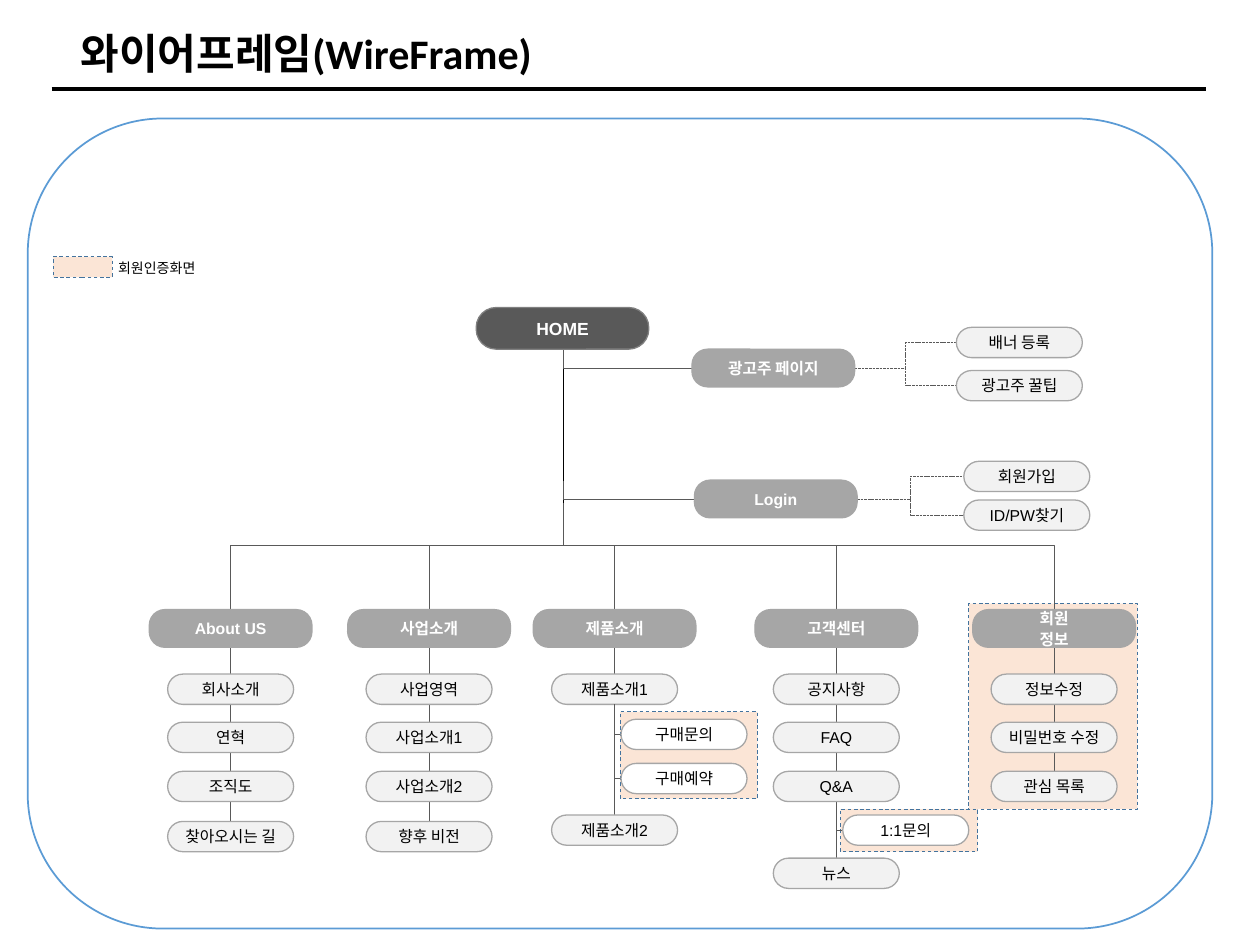
"""Build the site map slide of the wireframe deck."""
from pptx import Presentation
from pptx.dml.color import RGBColor
from pptx.enum.dml import MSO_LINE
from pptx.enum.shapes import MSO_CONNECTOR, MSO_SHAPE
from pptx.enum.text import MSO_ANCHOR, MSO_AUTO_SIZE, PP_ALIGN
from pptx.oxml.ns import qn
from pptx.util import Cm, Pt
from lxml.etree import SubElement

TITLE = "와이어프레임(WireFrame)"
LEGEND = "회원인증화면"
HUB, FORK, TOP = 11.35, 9.7, 12.29
HEAD_W, HEAD_H, PILL_W, PILL_H = 3.28, 0.76, 2.54, 0.61
ROWS = [13.59, 14.56, 15.55, 16.56]

COLUMNS = [
    (4.65, "About US", ["회사소개", "연혁", "조직도", "찾아오시는 길"], ROWS),
    (8.65, "사업소개", ["사업영역", "사업소개1", "사업소개2", "향후 비전"], ROWS),
    (12.39, "제품소개", ["제품소개1", "제품소개2"], [ROWS[0], 16.43]),
    (16.86, "고객센터", ["공지사항", "FAQ", "Q&A", "뉴스"], ROWS[:3] + [17.3]),
    (21.25, "회원\n정보", ["정보수정", "비밀번호 수정", "관심 목록"], ROWS[:3]),
]
SIDES = [
    (13.95, 7.04, "광고주 페이지", 7.04, 19.28, [("배너 등록", 6.6), ("광고주 꿀팁", 7.47)]),
    (14.0, 9.68, "Login", FORK, 19.43, [("회원가입", 9.3), ("ID/PW찾기", 10.08)]),
]
SUBS = [
    (12.39, 14.2, 12.52, 14.5, "구매문의"),
    (12.39, 14.2, 12.52, 15.39, "구매예약"),
    (16.86, 16.18, 16.99, 16.43, "1:1문의"),
]
PANELS = [
    (19.53, 12.17, 3.4, 4.14),
    (16.94, 16.31, 2.77, 0.86),
    (12.5, 14.35, 2.77, 1.75),
    (1.07, 5.18, 1.19, 0.41),
]

deck = Presentation()
deck.slide_width, deck.slide_height = Cm(25.4), Cm(19.05)
slide = deck.slides.add_slide(deck.slide_layouts[5])
shapes = slide.shapes


def paint(hue):
    return RGBColor.from_string(hue)


def box(kind, area, fill, edge, width, dash=None):
    shape = shapes.add_shape(kind, *map(Cm, area))
    shape.shadow.inherit = False
    shape.fill.solid()
    shape.fill.fore_color.rgb = paint(fill)
    shape.line.color.rgb = paint(edge)
    shape.line.width = Pt(width)
    shape.line.dash_style = dash
    return shape


def style(frame, font, size, hue, bold=False, align=PP_ALIGN.LEFT):
    for para in frame.paragraphs:
        para.alignment = align
        for run in para.runs:
            run.font.name, run.font.size, run.font.bold = font, Pt(size), bold
            run.font.color.rgb = paint(hue)


def node(text, area, fill="F2F2F2", edge="A6A6A6", hue="000000", bold=False, size=9, bend=0.5):
    shape = box(MSO_SHAPE.ROUNDED_RECTANGLE, area, fill, edge, 0.75)
    shape.adjustments[0] = bend
    frame = shape.text_frame
    frame.text = text
    frame.word_wrap = True
    frame.vertical_anchor = MSO_ANCHOR.MIDDLE
    frame.margin_left = frame.margin_right = frame.margin_top = frame.margin_bottom = Cm(0.05)
    style(frame, "Arial", size, hue, bold, PP_ALIGN.CENTER)
    for para in frame.paragraphs:
        para.space_before = Pt(0.9)


def head(text, left, top):
    node(text, (left, top, HEAD_W, HEAD_H), "A6A6A6", hue="FFFFFF", bold=True, bend=0.417)


def pill(text, left, top, fill="F2F2F2"):
    node(text, (left, top, PILL_W, PILL_H), fill)


def link(x1, y1, x2, y2, kind=MSO_CONNECTOR.STRAIGHT, hue="595959", width=0.5, dash=None):
    line = shapes.add_connector(kind, *map(Cm, (x1, y1, x2, y2)))
    line.line.color.rgb = paint(hue)
    line.line.width = Pt(width)
    line.line.dash_style = dash
    SubElement(line._element.spPr, qn("a:effectLst"))
    return line


def drop(x1, y1, x2, y2, hook=False):
    """Draw an elbow that leaves its start downwards."""
    wide, high = abs(x2 - x1), y2 - y1
    left, top = (x1 + x2 - high) / 2, (y1 + y2 - wide) / 2
    line = link(left, top, left + high, top + wide, MSO_CONNECTOR.ELBOW)
    form = line._element.spPr.find(qn("a:xfrm"))
    form.set("rot", "16200000" if x2 > x1 else "5400000")
    if x2 > x1:
        form.set("flipH", "1")
    if hook:
        line._element.spPr.find(qn("a:prstGeom")).set("prst", "bentConnector2")


box(MSO_SHAPE.ROUNDED_RECTANGLE, (0.56, 2.39, 23.88, 16.33), "FFFFFF", "5B9BD5", 1)
for area in PANELS:
    box(MSO_SHAPE.RECTANGLE, area, "FBE5D6", "43739E", 0.5, MSO_LINE.DASH)

for mid, name, items, tops in COLUMNS:
    drop(HUB, FORK, mid, TOP)
    link(mid, TOP + HEAD_H, mid, tops[-1])
    head(name, mid - HEAD_W / 2, TOP)
    for item, top in zip(items, tops):
        pill(item, mid - PILL_W / 2, top)

for x, y, left, top, name in SUBS:
    drop(x, y, left, top + PILL_H / 2, hook=True)
    pill(name, left, top, "FFFFFF")

link(HUB, 7.14, HUB, 10.13, hue="000000")
for left, top, name, start, far, items in SIDES:
    mid = top + HEAD_H / 2
    drop(HUB, start, left, mid, hook=True)
    for item, y in items:
        link(left + HEAD_W, mid, far, y + PILL_H / 2, MSO_CONNECTOR.ELBOW,
             dash=MSO_LINE.SQUARE_DOT)
        pill(item, far, y)
    head(name, left, top)
node("HOME", (9.6, 6.2, 3.48, 0.84), "595959", "808080", "FFFFFF", True, 10, 0.479)

link(1.04, 1.8, 24.31, 1.8, hue="000000", width=2.25)
label = shapes.add_textbox(Cm(2.13), Cm(5.1), Cm(2.24), Cm(0.61))
label.text_frame.text = LEGEND
style(label.text_frame, "Calibri", 8, "000000")

title = shapes.title
title.left, title.top, title.width, title.height = map(Cm, (1.37, 0.43, 10.11, 1.27))
title.text_frame.text = TITLE
style(title.text_frame, "Calibri", 24, "000000", True)
for shape in (label, title):
    shape.text_frame.word_wrap = False
    shape.text_frame.vertical_anchor = MSO_ANCHOR.TOP
    shape.text_frame.auto_size = MSO_AUTO_SIZE.SHAPE_TO_FIT_TEXT

deck.save("out.pptx")
